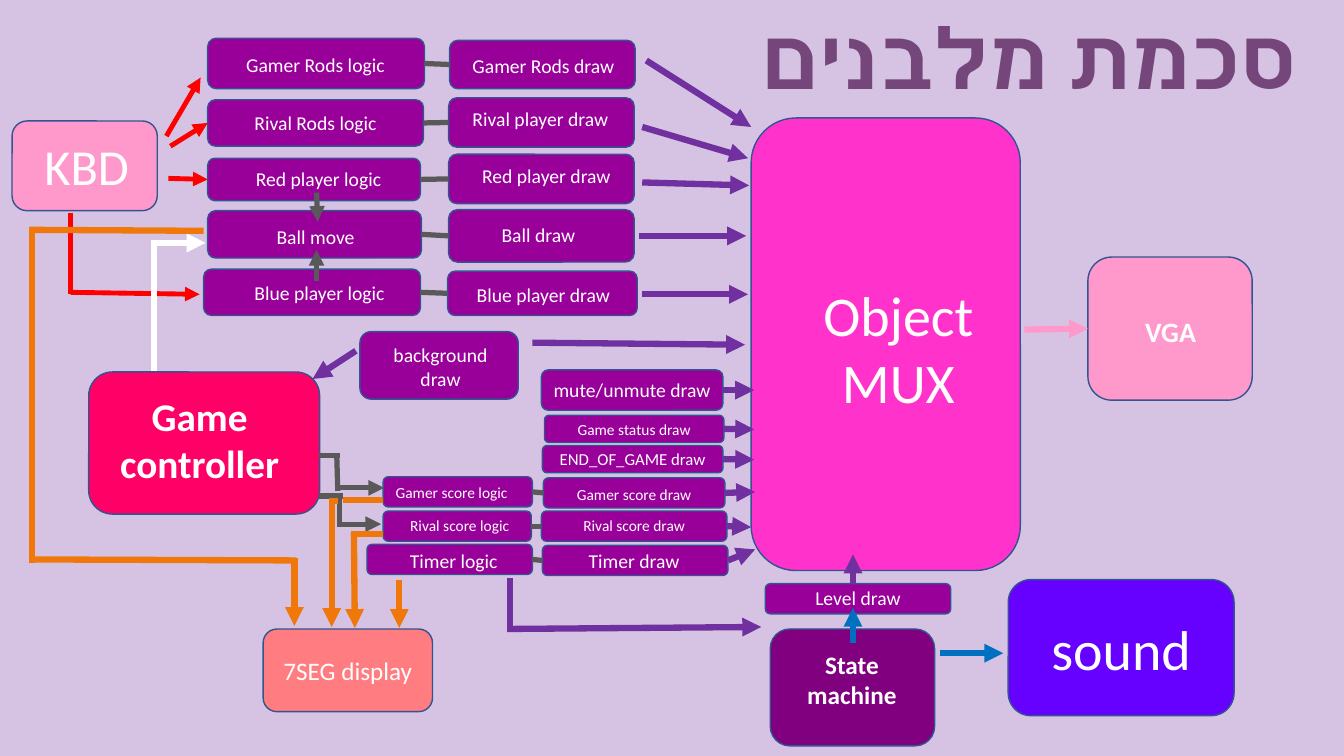
"""Build the block diagram slide of the game."""
import pptx
import pptx.util
import pptx.dml.color
import pptx.enum.shapes
import pptx.enum.text
import pptx.oxml.ns
import lxml.etree

RGBColor = pptx.dml.color.RGBColor
BACKGROUND = RGBColor(0xD6, 0xC3, 0xE3)
TITLE = RGBColor(0x74, 0x46, 0x7A)
WHITE = RGBColor(0xFF, 0xFF, 0xFF)
OUTLINE = RGBColor(0x32, 0x54, 0x91)
BLOCK = RGBColor(0x99, 0x00, 0x99)
PINK = RGBColor(0xFF, 0x99, 0xCC)
MAGENTA = RGBColor(0xFF, 0x33, 0xCC)
CRIMSON = RGBColor(0xFF, 0x00, 0x66)
CORAL = RGBColor(0xFF, 0x7C, 0x80)
PLUM = RGBColor(0x80, 0x00, 0x80)
INDIGO = RGBColor(0x66, 0x00, 0xFF)
PURPLE = RGBColor(0x70, 0x30, 0xA0)
RED = RGBColor(0xFF, 0x00, 0x00)
GRAY = RGBColor(0x59, 0x59, 0x59)
BLUE = RGBColor(0x00, 0x70, 0xC0)
ORANGE = RGBColor(0xF0, 0x78, 0x0A)
FONT = "Calibri"
CM_PER_INCH = 2.54


def cm(inches):
    """Convert inches to a Cm length."""
    return pptx.util.Cm(inches * CM_PER_INCH)


def add_tag(parent, tag, **attributes):
    """Append a drawing element to a parent element."""
    element = lxml.etree.SubElement(parent, pptx.oxml.ns.qn(tag))
    for name, value in attributes.items():
        element.set(name, value)


def format_text(sp, size, color, bold):
    """Centre the text of a shape and set its font."""
    p = sp.text_frame.paragraphs[0]
    p.alignment = pptx.enum.text.PP_ALIGN.CENTER
    r = p.runs[0]
    r.font.name = FONT
    r.font.size = pptx.util.Pt(size)
    r.font.bold = bold
    r.font.color.rgb = color
    add_tag(r.font._element, "a:cs", typeface=FONT)


def add_title(s, text):
    """Fill and move the right-to-left title."""
    sp = s.shapes.title
    sp.left, sp.top, sp.width, sp.height = cm(7.21), cm(0), cm(6), cm(1.11)
    tf = sp.text_frame
    tf.text = text
    tf.auto_size = pptx.enum.text.MSO_AUTO_SIZE.NONE
    tf.vertical_anchor = pptx.enum.text.MSO_ANCHOR.TOP
    format_text(sp, 60, TITLE, True)
    tf.paragraphs[0]._p.get_or_add_pPr().set("rtl", "1")


def add_box(s, at, text, size=14, fill=BLOCK, center=None, text_width=None, bold=False):
    """Add a rounded block whose text is centred on a given point."""
    x, y, w, h = at
    sp = s.shapes.add_shape(pptx.enum.shapes.MSO_SHAPE.ROUNDED_RECTANGLE,
                            cm(x), cm(y), cm(w), cm(h))
    sp.shadow.inherit = False
    sp.fill.solid()
    sp.fill.fore_color.rgb = fill
    sp.line.color.rgb = OUTLINE
    sp.line.width = pptx.util.Pt(1)
    cx, cy = center or (x + w / 2, y + h / 2)
    text_width = text_width or 2 * min(cx - x, x + w - cx)
    shift = 2 * (cy - y - h / 2)
    tf = sp.text_frame
    tf.text = text
    tf.word_wrap = True
    tf.vertical_anchor = pptx.enum.text.MSO_ANCHOR.MIDDLE
    tf.margin_left = cm(cx - text_width / 2 - x)
    tf.margin_right = cm(x + w - cx - text_width / 2)
    tf.margin_top, tf.margin_bottom = cm(max(shift, 0)), cm(max(-shift, 0))
    format_text(sp, size, WHITE, bold)
    return sp


def add_line(s, begin, end, color, width=4.5, arrow=True):
    """Draw a line between points, or from a block's right side to a block's left side."""
    joined_begin, joined_end = not isinstance(begin, tuple), not isinstance(end, tuple)
    x1, y1 = ((begin.left + begin.width, begin.top + begin.height // 2)
              if joined_begin else map(cm, begin))
    x2, y2 = (end.left, end.top + end.height // 2) if joined_end else map(cm, end)
    c = s.shapes.add_connector(pptx.enum.shapes.MSO_CONNECTOR.STRAIGHT, x1, y1, x2, y2)
    if joined_begin:
        c.begin_connect(begin, 3)
    if joined_end:
        c.end_connect(end, 1)
    c.line.color.rgb = color
    c.line.width = pptx.util.Pt(width)
    if arrow:
        add_tag(c.line._get_or_add_ln(), "a:tailEnd", type="triangle")
    add_tag(c._element.spPr, "a:effectLst")


def add_main_blocks(s):
    """Add the large blocks around the logic and draw columns."""
    add_box(s, (0.12, 1.2, 1.44, 0.89), "KBD", 36, PINK, (0.86, 1.64))
    add_box(s, (7.45, 1.17, 2.67, 4.49), "Object MUX", 40, MAGENTA, (8.91, 3.45), 2)
    add_box(s, (7.64, 6.24, 1.63, 1.16), "State machine", 18, PLUM, (8.45, 6.74), 1.15, True)
    add_box(s, (10.79, 2.55, 1.63, 1.42), "VGA", 20, PINK, (11.61, 3.29), bold=True)
    add_box(s, (0.88, 3.69, 2.29, 1.41), "Game controller", 28, CRIMSON, (1.98, 4.36), 2, True)
    add_box(s, (10, 5.75, 2.24, 1.35), "sound", 40, INDIGO)
    add_box(s, (2.61, 6.24, 1.68, 0.82), "7SEG display", 18, CORAL)
    add_box(s, (3.57, 3.29, 1.57, 0.67), "background draw", center=(4.37, 3.64), text_width=1.2)
    add_box(s, (7.59, 5.79, 1.84, 0.3), "Level draw", center=(8.51, 5.93))


def add_pairs(s):
    """Add the logic blocks linked to their draw blocks, and return both by name."""
    pairs = [
        ("Gamer Rods logic", (2.06, 0.38, 2.15, 0.5), (3.13, 0.64),
         "Gamer Rods draw", (4.46, 0.4, 1.84, 0.48), (5.39, 0.65), 14),
        ("Rival Rods logic", (2.06, 0.99, 2.14, 0.46), (3.13, 1.22),
         "Rival player draw", (4.45, 0.97, 1.84, 0.49), (5.36, 1.18), 14),
        ("Red player logic", (2.06, 1.57, 2.11, 0.42), (3.16, 1.77),
         "Red player draw", (4.45, 1.53, 1.84, 0.49), (5.42, 1.74), 14),
        ("Ball move", (2.06, 2.09, 2.12, 0.47), (3.13, 2.35),
         "Ball draw", (4.45, 2.08, 1.84, 0.52), (5.34, 2.33), 14),
        ("Blue player logic", (2.02, 2.67, 2.15, 0.46), (3.17, 2.9),
         "Blue player draw", (4.44, 2.69, 1.88, 0.44), (5.39, 2.92), 14),
        ("Gamer score logic", (3.8, 4.73, 1.48, 0.3), (4.48, 4.88),
         "Gamer score draw", (5.39, 4.74, 1.8, 0.3), (6.29, 4.9), 11),
        ("Rival score logic", (3.8, 5.07, 1.47, 0.3), (4.56, 5.21),
         "Rival score draw", (5.37, 5.07, 1.84, 0.3), (6.29, 5.21), 11),
        ("Timer logic", (3.64, 5.4, 1.64, 0.3), (4.5, 5.56),
         "Timer draw", (5.38, 5.41, 1.84, 0.3), (6.29, 5.56), 14),
    ]
    blocks = {}
    for logic, logic_at, logic_center, draw, draw_at, draw_center, size in pairs:
        blocks[logic] = add_box(s, logic_at, logic, size, center=logic_center)
        blocks[draw] = add_box(s, draw_at, draw, size, center=draw_center)
        add_line(s, blocks[logic], blocks[draw], GRAY, 3.75, False)
    return blocks


def add_status_blocks(s):
    """Add the draw blocks without logic and return them by name."""
    rows = [("mute/unmute draw", (5.37, 3.67, 1.8, 0.4), 14),
            ("Game status draw", (5.4, 4.12, 1.78, 0.27), 11),
            ("END_OF_GAME draw", (5.38, 4.42, 1.79, 0.27), 12)]
    return {text: add_box(s, at, text, size) for text, at, size in rows}


def add_signals(s, blocks):
    """Add the signal arrows and the plain segments that lead to them."""
    arrows = [
        (WHITE, 4.5, [((1.53, 2.41), (2.04, 2.41))]),
        (PURPLE, 4.5, [((6.41, 0.6), (7.45, 1.26)), ((6.37, 1.26), (7.42, 1.57)),
                       ((6.37, 1.81), (7.43, 1.84)), ((6.34, 2.34), (7.4, 2.34)),
                       ((6.37, 2.92), (7.42, 2.92)), ((5.28, 3.4), (7.39, 3.42)),
                       ((3.53, 3.48), (3.1, 3.76)), ((5.03, 6.24), (7.55, 6.22)),
                       ((8.46, 5.79), (8.46, 5.5)),
                       (blocks["mute/unmute draw"], (7.48, 3.87)),
                       (blocks["Game status draw"], (7.48, 4.26)),
                       (blocks["END_OF_GAME draw"], (7.48, 4.56)),
                       (blocks["Gamer score draw"], (7.49, 4.88)),
                       (blocks["Rival score draw"], (7.45, 5.23)),
                       (blocks["Timer draw"], (7.49, 5.45))]),
        (PINK, 4.5, [((10.16, 3.27), (10.79, 3.26))]),
        (BLUE, 4.5, [((9.32, 6.48), (9.95, 6.48)), ((8.46, 6.38), (8.46, 6.03))]),
        (RED, 3.5, [((1.65, 1.35), (1.99, 0.77)), ((1.69, 1.45), blocks["Rival Rods logic"]),
                    ((1.67, 1.77), blocks["Red player logic"]), ((0.7, 2.9), (1.98, 2.92))]),
        (GRAY, 3.75, [((3.14, 1.91), (3.15, 2.2)), ((3.14, 2.79), (3.14, 2.48)),
                      ((3.33, 4.84), (3.81, 4.84)), ((3.34, 5.2), (3.78, 5.2))]),
        (ORANGE, 4.5, [((3.96, 5.75), (3.96, 6.23)), ((3.51, 5.29), (3.52, 6.23)),
                       ((3.29, 4.96), (3.29, 6.22)), ((2.92, 5.54), (2.92, 6.21))]),
    ]
    segments = [
        (WHITE, 4.5, [((1.53, 2.38), (1.53, 3.68))]),
        (PURPLE, 4.5, [((5.06, 6.26), (5.06, 5.73))]),
        (RED, 3.5, [((0.7, 2.92), (0.7, 2.11))]),
        (GRAY, 3.75, [((3.16, 4.52), (3.37, 4.52)), ((3.16, 4.92), (3.4, 4.92)),
                      ((3.34, 4.51), (3.35, 4.87)), ((3.37, 4.89), (3.37, 5.22))]),
        (ORANGE, 4.5, [((2.94, 5.56), (0.32, 5.55)), ((0.32, 2.27), (0.32, 5.59)),
                       ((2.02, 2.29), (0.29, 2.28)), ((3.8, 5.3), (3.48, 5.3)),
                       ((3.8, 4.96), (3.4, 4.96)), ((3.35, 4.97), (3.26, 4.97))]),
    ]
    for groups, arrow in ((arrows, True), (segments, False)):
        for color, width, lines in groups:
            for begin, end in lines:
                add_line(s, begin, end, color, width, arrow)


def main():
    """Build and save the presentation."""
    prs = pptx.Presentation()
    prs.slide_width, prs.slide_height = cm(13.33), cm(7.5)
    s = prs.slides.add_slide(prs.slide_layouts[5])
    s.background.fill.solid()
    s.background.fill.fore_color.rgb = BACKGROUND
    add_title(s, "סכמת מלבנים")
    add_main_blocks(s)
    blocks = {**add_pairs(s), **add_status_blocks(s)}
    add_signals(s, blocks)
    prs.save("out.pptx")


if __name__ == "__main__":
    main()
